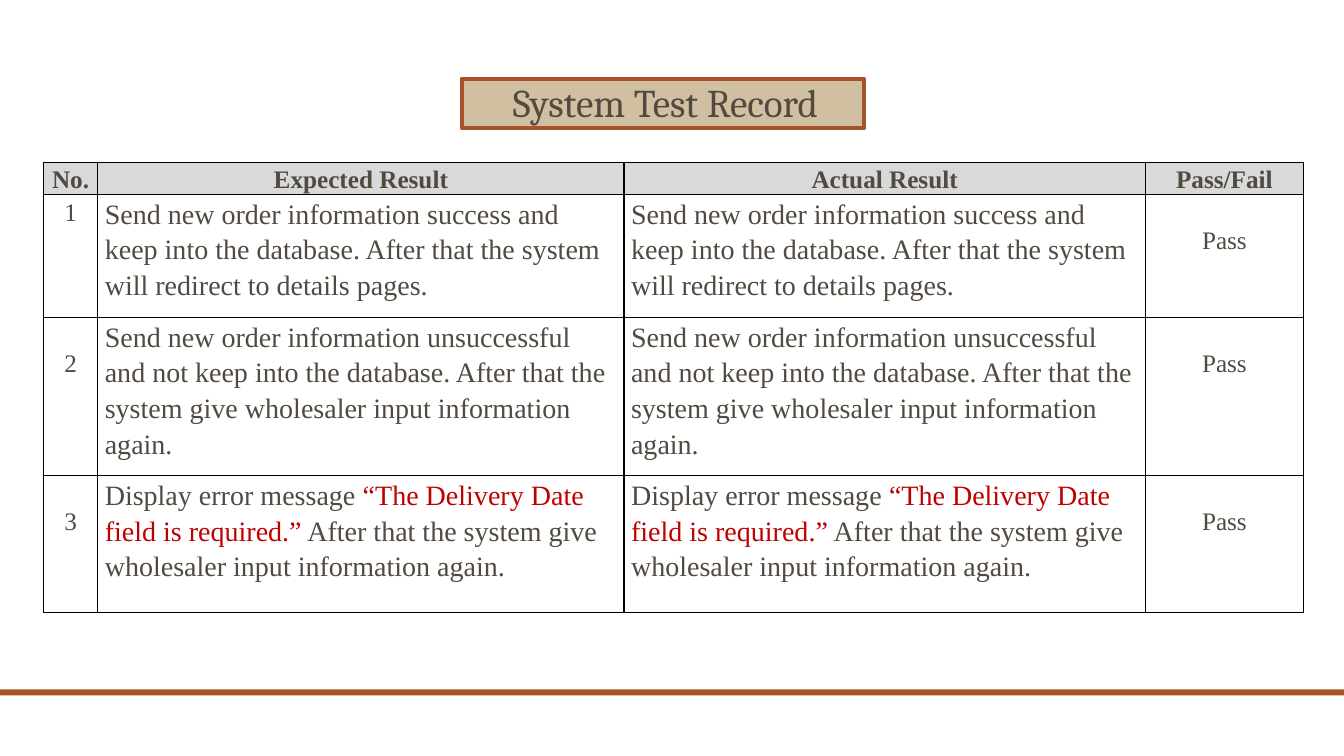
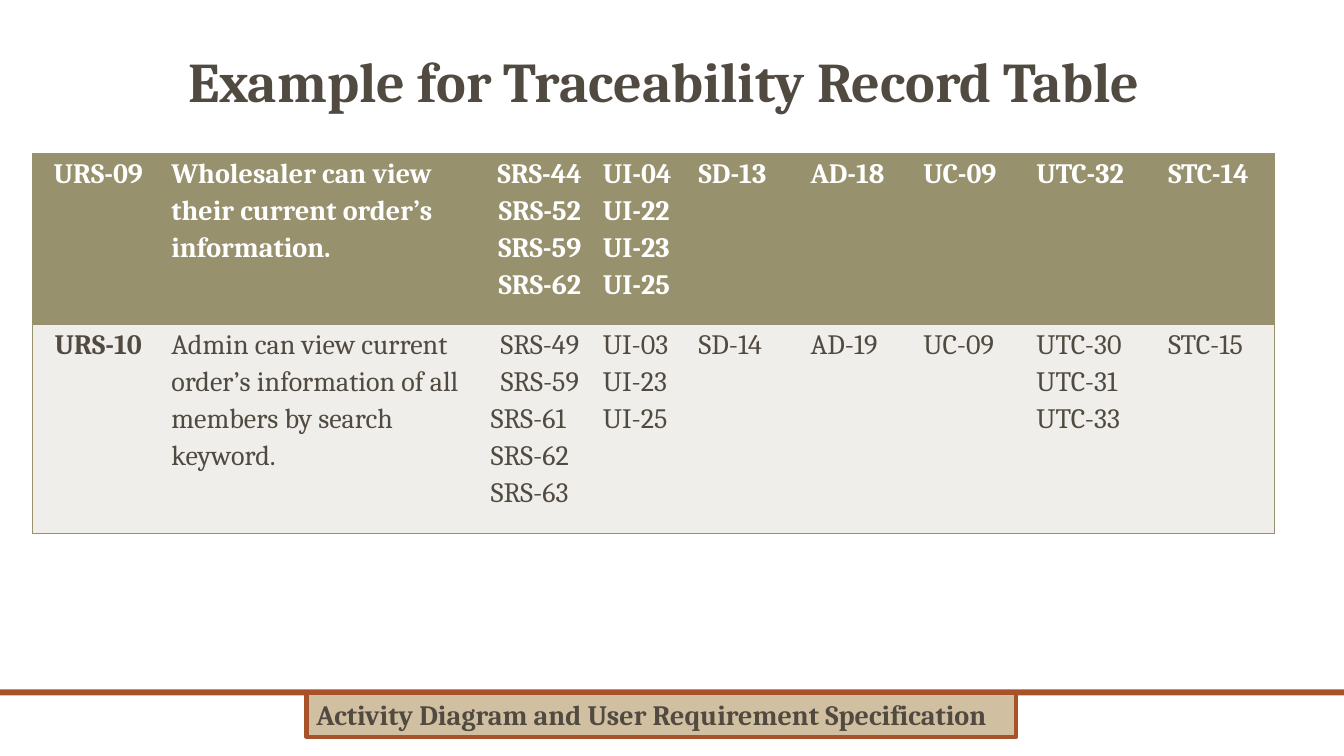
import pptx
import pptx.dml.color
import pptx.enum.shapes
import pptx.enum.text
import pptx.oxml
import pptx.oxml.ns
import pptx.util
from dataclasses import dataclass

Inches = pptx.util.Inches
Pt = pptx.util.Pt
CENTER = pptx.enum.text.PP_ALIGN.CENTER
LEFT = pptx.enum.text.PP_ALIGN.LEFT
TOP = pptx.enum.text.MSO_ANCHOR.TOP
MIDDLE = pptx.enum.text.MSO_ANCHOR.MIDDLE


@dataclass(frozen=True)
class Theme:
    ink: str = "514A40"
    rust: str = "A85229"
    sand: str = "D0C0A1"
    olive: str = "98916E"
    pale: str = "EFEEEB"
    gray: str = "D9D9D9"
    red: str = "C00000"
    white: str = "FFFFFF"
    black: str = "000000"
    heading_font: str = "Cambria"
    record_font: str = "Times New Roman"
    title_size: int = 40
    label_size: int = 28
    body_size: int = 20
    small_size: int = 18
    plain_table: str = "{2D5ABB26-0587-4C30-8999-92F81FD0307C}"


THEME = Theme()

# Content: a paragraph is a string, or a list of (text, colour) runs
TEST_TITLE = "System Test Record"
TEST_HEADER = ["No.", "Expected Result", "Actual Result", "Pass/Fail"]
TEST_RESULTS = [
    "Send new order information success and keep into the database. "
    "After that the system will redirect to details pages.",
    "Send new order information unsuccessful and not keep into the database. "
    "After that the system give wholesaler input information again.",
    [("Display error message ", THEME.ink),
     ("“The Delivery Date field is required.”", THEME.red),
     (" After that the system give wholesaler input information again.", THEME.ink)],
]
TEST_COLUMNS = [0.54, 5.22, 5.17, 1.57]
TEST_ROWS = [0.32, 1.22, 1.57, 1.36]

TRACE_TITLE = "Example for Traceability Record Table"
TRACE_FOOTER = "Activity Diagram and User Requirement Specification"
TRACE_RECORDS = [
    [["URS-09"], ["Wholesaler can view their current order’s information."],
     ["SRS-44", "SRS-52", "SRS-59", "SRS-62"],
     ["UI-04", "UI-22", "UI-23", "UI-25"],
     ["SD-13"], ["AD-18"], ["UC-09"], ["UTC-32"], ["STC-14"]],
    [["URS-10"],
     ["Admin can view current order’s information of all members by search keyword."],
     ["SRS-49", "SRS-59", "SRS-61", "SRS-62", "SRS-63"],
     ["UI-03", "UI-23", "UI-25"],
     ["SD-14"], ["AD-19"], ["UC-09"], ["UTC-30", "UTC-31", "UTC-33"], ["STC-15"]],
]
TRACE_COLUMNS = [1.31, 3.17, 1.11, 0.95, 1.11, 1.12, 1.12, 1.31, 1.12]
TRACE_ROWS = [1.7, 2.07]
# Leading centred paragraphs in the SRS cell of each row
SRS_COLUMN, SRS_CENTERED = 2, [4, 2]


def rgb(color):
    return pptx.dml.color.RGBColor.from_string(color)


def write(frame, paragraphs, *, size, font=THEME.heading_font, color=THEME.ink,
          bold=False, align=LEFT, spacing=1.0):
    for index, content in enumerate(paragraphs):
        paragraph = frame.paragraphs[0] if index == 0 else frame.add_paragraph()
        paragraph.alignment = align
        paragraph.line_spacing = spacing
        runs = [(content, color)] if isinstance(content, str) else content
        for text, run_color in runs:
            run = paragraph.add_run()
            run.text = text
            run.font.size = Pt(size)
            run.font.name = font
            run.font.bold = bold
            run.font.color.rgb = rgb(run_color)


def paint(shape, fill, line=None):
    shape.fill.solid()
    shape.fill.fore_color.rgb = rgb(fill)
    if line:
        shape.line.color.rgb = rgb(line)
        shape.line.width = Pt(3)
    else:
        shape.line.fill.background()


def add_box(slide, box, fill, line=None):
    shape = slide.shapes.add_shape(
        pptx.enum.shapes.MSO_SHAPE.RECTANGLE, *map(Inches, box))
    shape.shadow.inherit = False
    paint(shape, fill, line)
    return shape


def add_titled_slide(presentation, layout, title, box, size, bold):
    slide = presentation.slides.add_slide(layout)
    shape = slide.shapes.title
    shape.left, shape.top, shape.width, shape.height = map(Inches, box)
    frame = shape.text_frame
    frame.auto_size = pptx.enum.text.MSO_AUTO_SIZE.NONE
    frame.vertical_anchor = TOP
    frame.margin_left = Inches(0.15)
    write(frame, [title], size=size, bold=bold, align=CENTER, spacing=0.9)
    return slide


def add_plain_table(slide, left, top, columns, rows):
    frame = slide.shapes.add_table(
        len(rows), len(columns), Inches(left), Inches(top),
        Inches(sum(columns)), Inches(sum(rows)))
    style = frame.element.find(".//" + pptx.oxml.ns.qn("a:tableStyleId"))
    style.text = THEME.plain_table
    table = frame.table
    table.first_row = table.horz_banding = False
    for column, width in zip(table.columns, columns):
        column.width = Inches(width)
    for row, height in zip(table.rows, rows):
        row.height = Inches(height)
    return table


def format_cell(cell, fill, border, sides, margin_top=0):
    cell.margin_left = cell.margin_right = Inches(0.07)
    cell.margin_top, cell.margin_bottom = Inches(margin_top), 0
    cell.vertical_anchor = TOP
    properties = cell._tc.get_or_add_tcPr()
    for side in sides:
        properties.append(pptx.oxml.parse_xml(
            f'<a:ln{side} {pptx.oxml.ns.nsdecls("a")} w="{Pt(1)}"><a:solidFill>'
            f'<a:srgbClr val="{border}"/></a:solidFill></a:ln{side}>'))
    if fill:
        cell.fill.solid()
        cell.fill.fore_color.rgb = rgb(fill)
    else:
        cell.fill.background()


def build_test_record(presentation, layout):
    slide = add_titled_slide(presentation, layout, TEST_TITLE,
                             (4.58, 0.78, 3.99, 0.49), THEME.label_size, False)
    paint(slide.shapes.title, THEME.sand, THEME.rust)
    table = add_plain_table(slide, 0.43, 1.61, TEST_COLUMNS, TEST_ROWS)
    records = [TEST_HEADER] + [
        [str(number), result, result, "Pass"]
        for number, result in enumerate(TEST_RESULTS, 1)]
    for r, record in enumerate(records):
        for c, content in enumerate(record):
            header, result = r == 0, r > 0 and c in (1, 2)
            # Short entries sit one line down, except the first number
            lowered = not header and not result and (r, c) != (1, 0)
            cell = table.cell(r, c)
            format_cell(cell, THEME.gray if header else None, THEME.black, "LRTB",
                        0.28 if lowered else 0)
            write(cell.text_frame, [content], font=THEME.record_font, bold=header,
                  size=THEME.body_size if result else THEME.small_size,
                  align=LEFT if result else CENTER, spacing=1.15)


def build_traceability(presentation, layout):
    slide = add_titled_slide(presentation, layout, TRACE_TITLE,
                             (0.5, 0.49, 12.12, 0.86), THEME.title_size, True)
    # Footer label
    footer = add_box(slide, (3.04, 6.87, 7.04, 0.44), THEME.sand, THEME.rust)
    footer.text_frame.word_wrap = False
    footer.text_frame.vertical_anchor = MIDDLE
    write(footer.text_frame, [TRACE_FOOTER], size=THEME.body_size, bold=True)
    # Requirement table, framed on its outer edges
    table = add_plain_table(slide, 0.32, 1.52, TRACE_COLUMNS, TRACE_ROWS)
    last = len(TRACE_COLUMNS) - 1
    for r, record in enumerate(TRACE_RECORDS):
        header = r == 0
        for c, paragraphs in enumerate(record):
            cell = table.cell(r, c)
            sides = ("L" if c == 0 else "") + ("R" if c == last else "") + "TB"
            format_cell(cell, THEME.olive if header else THEME.pale, THEME.olive, sides)
            write(cell.text_frame, paragraphs, size=THEME.body_size,
                  color=THEME.white if header else THEME.ink,
                  bold=header or c == 0, spacing=1.15,
                  align=CENTER if c in (0, SRS_COLUMN) else LEFT)
        srs_frame = table.cell(r, SRS_COLUMN).text_frame
        for paragraph in srs_frame.paragraphs[SRS_CENTERED[r]:]:
            paragraph.alignment = LEFT


def main():
    presentation = pptx.Presentation()
    presentation.slide_width, presentation.slide_height = Inches(13.33), Inches(7.5)
    layout = presentation.slide_layouts[5]
    build_test_record(presentation, layout)
    build_traceability(presentation, layout)
    # Shared band, moved to the layout so that every slide shows it
    band = add_box(presentation.slides[0], (0, 6.84, 13.33, 0.06), THEME.rust)
    layout.shapes.element.append(band.element)
    presentation.save("out.pptx")


if __name__ == "__main__":
    main()
